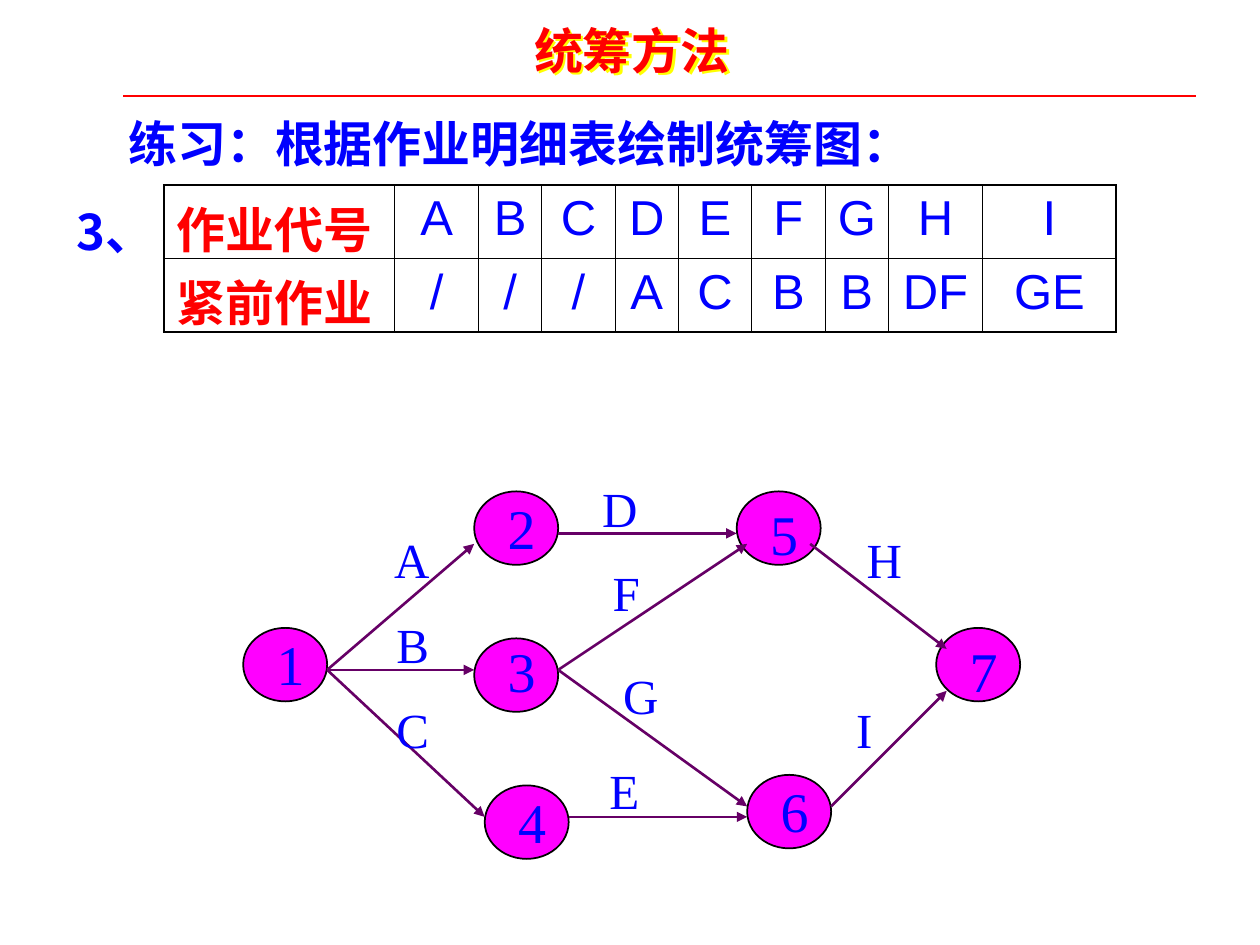
from lxml import etree
from pptx import Presentation
from pptx.dml.color import RGBColor
from pptx.enum.shapes import MSO_CONNECTOR, MSO_SHAPE
from pptx.enum.text import PP_ALIGN
from pptx.oxml import parse_xml
from pptx.oxml.ns import nsdecls, qn
from pptx.util import Inches, Pt

STRAIGHT = MSO_CONNECTOR.STRAIGHT
OVAL = MSO_SHAPE.OVAL
LEFT, CENTER = PP_ALIGN.LEFT, PP_ALIGN.CENTER
UNIT = 1 / 12
SANS, SERIF, LATIN = "Noto Sans CJK SC", "Times New Roman", "Arial"
COLORS = {
    "red": "FF0000", "blue": "0000FF", "yellow": "FFFF00",
    "node": "FF00FF", "arrow": "660066", "black": "000000",
}
TITLE = {"name": SANS, "size": Pt(28), "bold": True, "color": "red"}
PROMPT = {**TITLE, "name": SERIF, "color": "blue"}
NUMBER = {**TITLE, "color": "blue"}
CODE = {"name": LATIN, "size": Pt(28), "bold": False, "color": "blue"}
LABEL = {**CODE, "name": SERIF}
DIGIT = {**LABEL, "size": Pt(32)}

TASKS = [
    ["作业代号", "A", "B", "C", "D", "E", "F", "G", "H", "I"],
    ["紧前作业", "/", "/", "/", "A", "C", "B", "B", "DF", "GE"],
]
TASK_COLUMNS = [22, 8, 6, 7, 6, 7, 7, 6, 9, 12.7]
TASK_ROW = 7

NODE_COLUMNS, NODE_ROWS = 8, 7
NODES = {
    "1": (0, 13, -0.4), "2": (22, 0, -0.4), "3": (22, 14, -0.8),
    "4": (23, 28, -0.4), "5": (47, 0, 0.2), "6": (48, 27, -0.4),
    "7": (66, 13, 0.2),
}
ACTIVITIES = {
    "A": ((8, 17), (22, 5), (13.2, 3, 5.8)),
    "B": ((8, 17), (22, 17), (13.4, 11.1, 5.5)),
    "C": ((8, 17), (23, 31), (13.4, 19.2, 5.5)),
    "D": ((30, 4), (47, 4), (33, -1.8, 5.8)),
    "E": ((31, 31), (48, 31), (33.7, 25, 5.3)),
    "F": ((30, 17), (48, 5), (34, 6.2, 4.9)),
    "G": ((30, 17), (48, 30), (35, 16, 5.8)),
    "H": ((54, 5), (67, 15), (58.2, 3, 5.8)),
    "I": ((56, 30), (67, 19), (57.2, 19.2, 4)),
}


def paint(color, name):
    color.rgb = RGBColor.from_string(COLORS[name])


def write(frame, text, style, align=LEFT):
    para = frame.paragraphs[0]
    para.alignment = align
    span = para.add_run()
    span.text = text
    for key, value in style.items():
        if key == "color":
            paint(span.font.color, value)
        else:
            setattr(span.font, key, value)
    east = etree.SubElement(span.font._element, qn("a:ea"))
    east.set("typeface", SANS)


def add_text(page, box, text, style, wrap=True):
    label = page.shapes.add_textbox(*map(Inches, box))
    label.text_frame.word_wrap = wrap
    write(label.text_frame, text, style)
    return label


def add_line(page, start, end, color, width, arrow=False):
    line = page.shapes.add_connector(STRAIGHT, *map(Inches, (*start, *end)))
    paint(line.line.color, color)
    line.line.width = Pt(width)
    if arrow:
        etree.SubElement(line.line._get_or_add_ln(), qn("a:tailEnd"), type="triangle")
    etree.SubElement(line._element.spPr, qn("a:effectLst"))


def add_heading(page, box):
    left, top, width, height = box
    title = add_text(page, (left + 3.16, top, 1.95, height), "统筹方法", TITLE, False)
    title._element.spPr.append(parse_xml(
        f'<a:effectLst {nsdecls("a")}><a:outerShdw dist="25400" dir="2700000">'
        f'<a:srgbClr val="{COLORS["yellow"]}"/></a:outerShdw></a:effectLst>'
    ))
    add_line(page, (left, top + 0.65), (left + width, top + 0.65), "red", 1)


def add_border(cell, side, width):
    cell._tc.get_or_add_tcPr().append(parse_xml(
        f'<a:{side} {nsdecls("a")} w="{Pt(width)}"><a:solidFill>'
        f'<a:srgbClr val="{COLORS["black"]}"/></a:solidFill></a:{side}>'
    ))


def add_task_table(page, box):
    last_row, last_column = len(TASKS) - 1, len(TASK_COLUMNS) - 1
    table = page.shapes.add_table(
        len(TASKS), len(TASK_COLUMNS), *map(Inches, box)
    ).table
    table.first_row = table.horz_banding = False
    for column, width in zip(table.columns, TASK_COLUMNS):
        column.width = Inches(width * UNIT)
    for row, texts in enumerate(TASKS):
        table.rows[row].height = Inches(TASK_ROW * UNIT)
        for column, text in enumerate(texts):
            cell = table.cell(row, column)
            edges = {
                "lnL": column == 0, "lnR": column == last_column,
                "lnT": row == 0, "lnB": row == last_row,
            }
            for side, outer in edges.items():
                add_border(cell, side, 1.08 if outer else 0.45)
            cell.fill.background()
            style, align = (CODE, CENTER) if column else (TITLE, LEFT)
            write(cell.text_frame, text, style, align)


def add_network(page, box):
    left, top, width, height = box

    def place(column, row):
        return left + column * UNIT, top + row * UNIT

    for column, row, _ in NODES.values():
        size = NODE_COLUMNS * UNIT, NODE_ROWS * UNIT
        node = page.shapes.add_shape(OVAL, *map(Inches, (*place(column, row), *size)))
        node.shadow.inherit = False
        node.fill.solid()
        paint(node.fill.fore_color, "node")
        paint(node.line.color, "black")
        node.line.width = Pt(1)
    for text, (start, end, (column, row, columns)) in ACTIVITIES.items():
        add_line(page, place(*start), place(*end), "arrow", 1.5, True)
        add_text(page, (*place(column, row), columns * UNIT, 0.57), text, LABEL, False)
    for text, (column, row, shift) in NODES.items():
        add_text(page, (*place(column + 2, row + shift), 0.42, 0.64), text, DIGIT, False)


def main():
    deck = Presentation()
    deck.slide_width, deck.slide_height = Inches(10), Inches(7.5)
    page = deck.slides.add_slide(deck.slide_layouts[6])
    add_heading(page, (0.98, 0.11, 8.51, 0.57))
    add_text(page, (0.92, 0.85, 6.77, 0.57), "练习：根据作业明细表绘制统筹图：", PROMPT)
    add_text(page, (0.51, 1.55, 1.18, 0.57), "3、", NUMBER)
    add_task_table(page, (1.3, 1.47, sum(TASK_COLUMNS) * UNIT, 2 * TASK_ROW * UNIT))
    add_network(page, (1.93, 3.9, 6.17, 2.91))
    deck.save("out.pptx")


if __name__ == "__main__":
    main()
